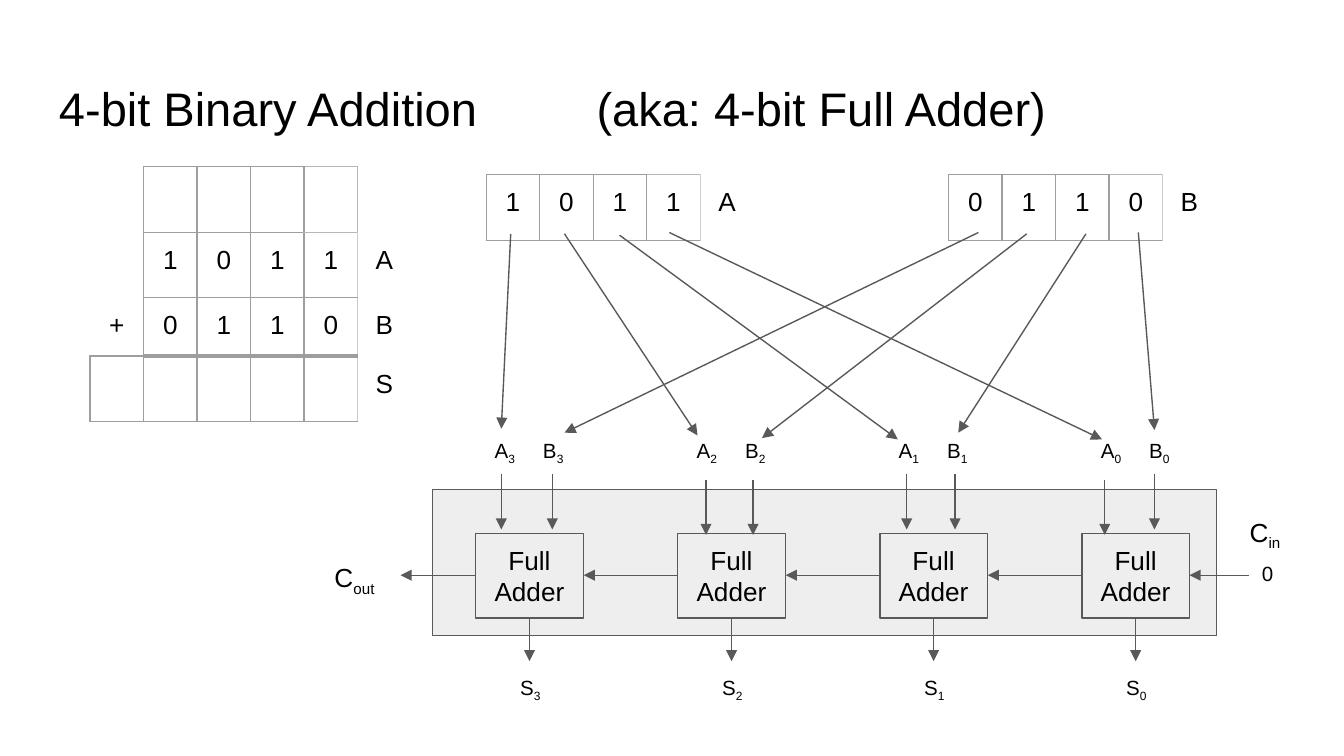
import pptx
import pptx.util
import pptx.dml.color
import pptx.enum.shapes
import pptx.enum.text
import pptx.oxml
import pptx.oxml.ns
import lxml.etree

Inches = pptx.util.Inches
Align = pptx.enum.text.PP_ALIGN
Anchor = pptx.enum.text.MSO_ANCHOR
qn = pptx.oxml.ns.qn


class Theme:
    font = "Arial"
    ink = "000000"
    line = "595959"
    fill = "EEEEEE"
    grid = "9E9E9E"
    soft = "B7B7B7"
    pale = "CCCCCC"
    title = 25.2
    blank = 17.2
    body = 14
    small = 11
    thin = 0.75
    rule = 1.5
    thick = 2.25


def color(code):
    return pptx.dml.color.RGBColor.from_string(code)


def node(parent, tag, **attrs):
    return lxml.etree.SubElement(parent, qn(tag), **attrs)


def write(para, text, size, sub=False):
    run = para.add_run()
    run.text = text
    run.font.name = Theme.font
    run.font.size = pptx.util.Pt(size)
    run.font.color.rgb = color(Theme.ink)
    if sub:
        run.font._element.set("baseline", "-25000")


def pad(frame, left=0.1):
    frame.margin_left = Inches(left)
    frame.margin_right = frame.margin_top = frame.margin_bottom = Inches(0.1)


def label(slide, x, y, w, h, parts, size, align=Align.LEFT, left=0.1, tab=None):
    frame = slide.shapes.add_textbox(Inches(x), Inches(y), Inches(w), Inches(h)).text_frame
    frame.word_wrap = True
    pad(frame, left)
    para = frame.paragraphs[0]
    para.alignment = align
    if tab:
        stops = node(para._p.get_or_add_pPr(), "a:tabLst")
        node(stops, "a:tab", pos=str(Inches(tab)), algn="l")
    for i, text in enumerate(parts):
        write(para, text, size, i % 2 == 1)


def block(slide, x, y, w, h):
    kind = pptx.enum.shapes.MSO_SHAPE.RECTANGLE
    shape = slide.shapes.add_shape(kind, Inches(x), Inches(y), Inches(w), Inches(h))
    shape.shadow.inherit = False
    shape.fill.solid()
    shape.fill.fore_color.rgb = color(Theme.fill)
    shape.line.color.rgb = color(Theme.line)
    shape.line.width = pptx.util.Pt(Theme.thin)
    return shape


def arrow(slide, x1, y1, x2, y2):
    kind = pptx.enum.shapes.MSO_CONNECTOR.STRAIGHT
    wire = slide.shapes.add_connector(kind, Inches(x1), Inches(y1), Inches(x2), Inches(y2))
    wire.line.color.rgb = color(Theme.line)
    wire.line.width = pptx.util.Pt(Theme.thin)
    node(wire.line._get_or_add_ln(), "a:tailEnd", type="triangle")
    node(wire._element.spPr, "a:effectLst")


def edges(row, col, count):
    final = count > 1 and row == count - 1
    if col == 5:
        return {"L": (Theme.soft if count > 1 and row == 0 else Theme.pale, Theme.thin)}
    if col == 0 and not final:
        sides = {"R": (Theme.grid, Theme.thin)}
        if count > 1 and row == count - 2:
            sides["B"] = (Theme.grid, Theme.rule)
        return sides
    sides = {side: (Theme.grid, Theme.thin) for side in "LRTB"}
    if final:
        sides["T"] = (Theme.grid, Theme.thick if col else Theme.rule)
    elif count > 1 and row == count - 2:
        sides["B"] = (Theme.grid, Theme.thick)
    if col == 4:
        sides["R"] = (Theme.soft if count > 1 and row == 0 else Theme.pale, Theme.thin)
        if row < 2:
            sides["T"] = (Theme.soft, Theme.thin)
        if count > 1 and row == 0:
            sides["B"] = (Theme.soft, Theme.thin)
    return sides


def border(cell, sides):
    props = cell._tc.get_or_add_tcPr()
    for side in "LRTB":
        code, width = sides.get(side, (None, Theme.thin))
        line = node(props, "a:ln" + side, w=str(pptx.util.Pt(width)))
        if code:
            node(node(line, "a:solidFill"), "a:srgbClr", val=code)
        else:
            node(line, "a:noFill")


def grid(slide, x, y, rows):
    count = len(rows)
    frame = slide.shapes.add_table(count, 6, Inches(x), Inches(y), Inches(2.39), Inches(0.42 * count))
    table = frame.table
    table.first_row = table.horz_banding = False
    for col in table.columns:
        col.width = Inches(2.39 / 6)
    for r, words in enumerate(rows):
        table.rows[r].height = Inches(0.42)
        for c, text in enumerate(words):
            cell = table.cell(r, c)
            pad(cell)
            border(cell, edges(r, c, count))
            cell.fill.background()
            para = cell.text_frame.paragraphs[0]
            if text.strip():
                para.alignment = Align.CENTER
                write(para, text, Theme.body)
            else:
                node(para._p, "a:endParaRPr", sz=str(round(Theme.blank * 100)))


def stage(slide, x, y, bit, tops, carry):
    shape = block(slide, x, y, 0.8, 0.63)
    frame = shape.text_frame
    frame.word_wrap = True
    frame.vertical_anchor = Anchor.MIDDLE
    pad(frame)
    para = frame.paragraphs[0]
    para.alignment = Align.CENTER
    write(para, "Full", Theme.body)
    para.add_line_break()
    write(para, "Adder", Theme.body)
    arrow(slide, x, y + 0.31, x - carry, y + 0.31)
    arrow(slide, x + 0.4, y + 0.62, x + 0.4, y + 0.95)
    for dx, dy in tops:
        arrow(slide, x + dx, y + dy, x + dx, y + dy + 0.41)
    label(slide, x - 0.24, y + 0.95, 1.29, 0.39, ["S", bit], Theme.small, Align.CENTER)
    label(slide, x - 0.25, y - 0.81, 1.29, 0.39, ["A", bit, "\tB", bit],
          Theme.small, left=0.39, tab=0.36)


def adder(slide, x, y):
    block(slide, x, y, 5.83, 1.09)
    tops = [
        ((0.19, -0.44), (0.57, -0.44)),
        ((0.21, -0.4), (0.56, -0.4)),
        ((0.2, -0.44), (0.56, -0.44)),
        ((0.17, -0.4), (0.54, -0.44)),
    ]
    for i, pair in enumerate(tops):
        stage(slide, x + 0.32 + 4.51 / 3 * i, y + 0.33, str(3 - i), pair, 0.7 if i else 0.56)
    arrow(slide, x + 6.07, y + 0.64, x + 5.63, y + 0.64)
    label(slide, x + 6.07, y + 0.44, 0.44, 0.39, ["0"], Theme.small)
    label(slide, x - 0.83, y + 0.44, 0.56, 0.44, ["C", "out"], Theme.body)
    label(slide, x + 5.98, y + 0.1, 0.52, 0.44, ["C", "in"], Theme.body)


def inputs(slide, x, y):
    grid(slide, x + 3.44, y, [" 0110B"])
    grid(slide, x, y, [" 1011A"])
    wires = [
        (0.58, 0.44, 0.51, 1.89), (0.98, 0.44, 1.97, 1.94),
        (1.39, 0.45, 3.46, 1.97), (1.76, 0.43, 4.98, 1.97),
        (4.06, 0.43, 0.98, 1.92), (4.42, 0.44, 2.45, 1.96),
        (4.86, 0.44, 3.91, 1.92), (5.25, 0.43, 5.37, 1.9),
    ]
    for x1, y1, x2, y2 in wires:
        arrow(slide, x + x1, y + y1, x + x2, y + y2)


deck = pptx.Presentation()
deck.slide_width = Inches(10)
deck.slide_height = Inches(10 * 9 / 16)
slide = deck.slides.add_slide(deck.slide_layouts[6])
label(slide, 0.34, 0.49, 9.32, 0.63,
      ["4-bit Binary Addition \t(aka: 4-bit Full Adder)"], Theme.title, tab=4)
grid(slide, 0.67, 1.24, [" " * 6, " 1011A", "+0110B", " " * 5 + "S"])
inputs(slide, 3.22, 1.3)
adder(slide, 3.22, 3.64)
deck.save("out.pptx")
